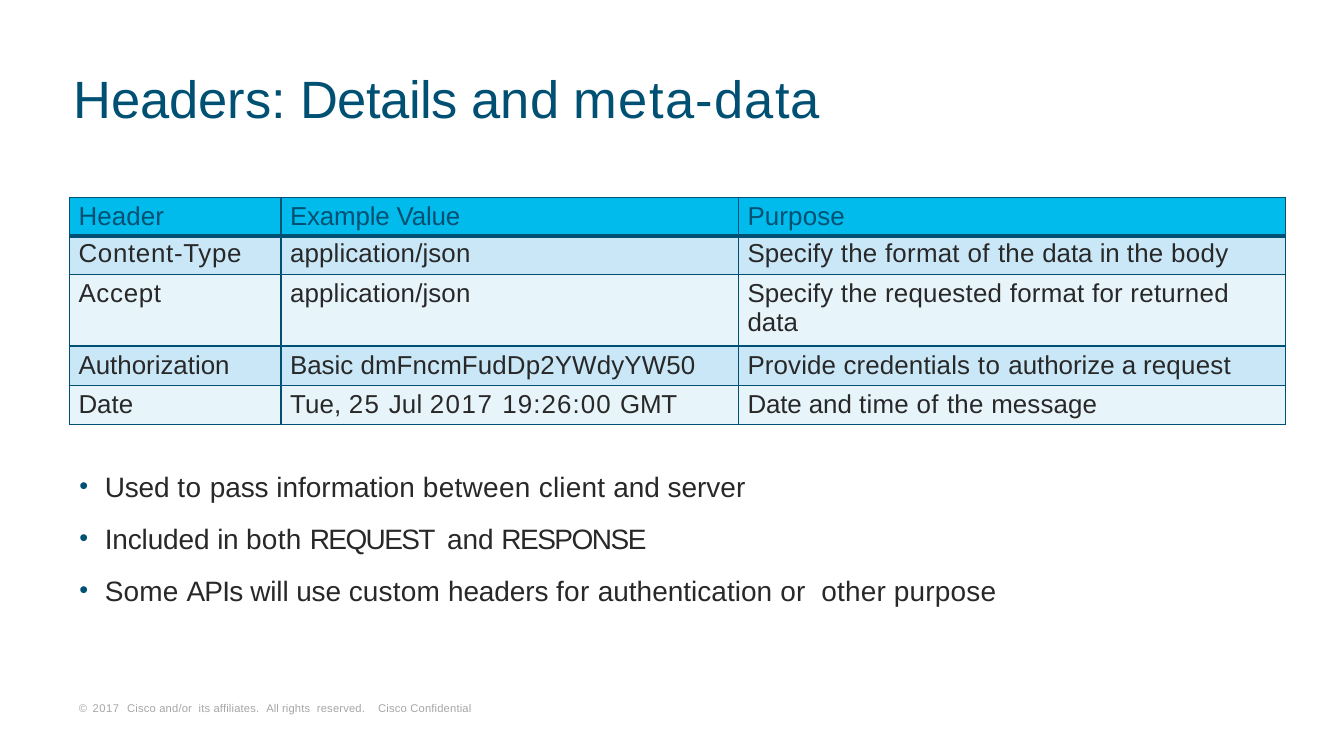
"""Build a slide on message headers: title, table of examples, bullet list and footer."""
import lxml.etree
import pptx
import pptx.dml.color
import pptx.enum.text
import pptx.oxml.ns
import pptx.util
from pptx.util import Cm

NAVY, CYAN, INK, GREY = "005073", "00BBEB", "282828", "A6A6A6"
DARK_BAND, LIGHT_BAND = "CAE7F7", "E7F4FA"


def colour(value):
    return pptx.dml.color.RGBColor.from_string(value)


def write(para, text, size=18.5, color=INK, spacing=0.0):
    span = para.add_run()
    span.text = text
    span.font.name = "Arial"
    span.font.size = pptx.util.Pt(size)
    span.font.bold = False
    span.font.color.rgb = colour(color)
    span._r.get_or_add_rPr().set("spc", str(round(spacing * 100)))


deck = pptx.Presentation()
deck.slide_width, deck.slide_height = Cm(33.87), Cm(19.05)
page = deck.slides.add_slide(deck.slide_layouts[1])
title, body = page.placeholders
footer = page.shapes.add_textbox(0, 0, Cm(1), Cm(1))

for box, left, top, width, height, inset in [
    (title, 1.83, 1.63, 19, 1.65, 0.03),
    (body, 1.98, 11.33, 23.27, 3.99, 0.5),
    (footer, 1.96, 17.65, 10.11, 0.46, 0.03),
]:
    box.left, box.top, box.width, box.height = Cm(left), Cm(top), Cm(width), Cm(height)
    frame = box.text_frame
    frame.word_wrap = True
    frame.auto_size = pptx.enum.text.MSO_AUTO_SIZE.SHAPE_TO_FIT_TEXT
    frame.vertical_anchor = pptx.enum.text.MSO_ANCHOR.TOP
    frame.margin_left = Cm(0.03 if box is not body else 0)
    frame.margin_right = frame.margin_bottom = 0
    frame.margin_top = Cm(inset)
    frame.paragraphs[0].alignment = pptx.enum.text.PP_ALIGN.LEFT
    frame.paragraphs[0].space_before = 0

for text, spacing in [("Headers: ", -0.1), ("Details ", -0.4), ("and ", -0.1), ("meta-data", 0.9)]:
    write(title.text_frame.paragraphs[0], text, size=37.5, color=NAVY, spacing=spacing)

for text, spacing in [
    ("© ", 0.8), ("2017  ", 0.4), ("Cisco and/or  its affiliates.  ", 0.1),
    ("All ", 0), ("rights  reserved.    Cisco Confidential", 0.1),
]:
    write(footer.text_frame.paragraphs[0], text, size=8, color=GREY, spacing=spacing)

bullets = [
    [("Used ", -0.1), ("to ", 0.3), ("pass ", -0.1), ("information ", 0), ("between ", 0.2),
     ("client ", 0.1), ("and ", -0.1), ("server", 0)],
    [("Included ", -0.1), ("in ", -0.3), ("both ", 0.2), ("REQUEST  ", -1.2),
     ("and ", -0.1), ("RESPONSE", -1.1)],
    [("Some ", 0.1), ("APIs ", -0.6), ("will use ", -0.1), ("custom ", 0.1), ("headers ", -0.1),
     ("for ", 0.2), ("authentication ", 0), ("or  other purpose", 0.1)],
]
for index, spans in enumerate(bullets):
    para = body.text_frame.add_paragraph() if index else body.text_frame.paragraphs[0]
    para.space_before = pptx.util.Pt(13 if index else 0)
    properties = para._p.get_or_add_pPr()
    properties.set("marL", str(Cm(0.66)))
    properties.set("indent", str(Cm(-0.64)))
    marker = lxml.etree.SubElement(properties, pptx.oxml.ns.qn("a:buClr"))
    lxml.etree.SubElement(marker, pptx.oxml.ns.qn("a:srgbClr"), val=NAVY)
    lxml.etree.SubElement(properties, pptx.oxml.ns.qn("a:buSzPct"), val="90000")
    lxml.etree.SubElement(properties, pptx.oxml.ns.qn("a:buFont"), typeface="Arial")
    lxml.etree.SubElement(properties, pptx.oxml.ns.qn("a:buChar"), char="•")
    for text, spacing in spans:
        write(para, text, size=20, spacing=spacing)

# Each cell is a list of paragraphs, each paragraph a list of (text, letter spacing)
rows = [
    [[[("Header", 0.1)]], [[("Example Value", -0.1)]], [[("Purpose", 0.1)]]],
    [[[("Content-Type", 0.5)]], [[("application/json", 0.1)]],
     [[("Specify ", 0.1), ("the format ", 0.2), ("of ", 0.4), ("the ", 0.2), ("data ", 0),
       ("in ", -0.1), ("the ", 0.2), ("body", 0.3)]]],
    [[[("Accept", 0.5)]], [[("application/json", 0.1)]],
     [[("Specify ", 0.1), ("the requested format for returned", 0.2)], [("data", 0)]]],
    [[[("Authorization", 0)]], [[("Basic ", 0), ("dmFncmFudDp2YWdyYW50", 0.1)]],
     [[("Provide credentials ", 0.1), ("to ", 0.4), ("authorize ", 0), ("a ", -0.4),
       ("request", 0.2)]]],
    [[[("Date", 0)]],
     [[("Tue, ", 0.1), ("25 ", 1), ("Jul ", 0.1), ("2017 ", 1.1), ("19:26:00 ", 0.8),
       ("GMT", -0.2)]],
     [[("Date ", -0.1), ("and ", 0), ("time ", 0.2), ("of ", 0.4), ("the ", 0.2),
       ("message", 0.1)]]],
]
widths, heights = [5.33, 11.53, 13.79], [0.97, 0.97, 1.8, 0.99, 0.99]
table = page.shapes.add_table(
    len(rows), len(widths), Cm(1.75), Cm(4.98), Cm(sum(widths)), Cm(sum(heights))
).table
table.first_row = table.horz_banding = False
for column, width in zip(table.columns, widths):
    column.width = Cm(width)

for row_index, (row, height) in enumerate(zip(rows, heights)):
    table.rows[row_index].height = Cm(height)
    fill = CYAN if row_index == 0 else DARK_BAND if row_index % 2 else LIGHT_BAND
    heavy_side = {0: "lnB", 1: "lnT"}.get(row_index)
    for column_index, paragraphs in enumerate(row):
        cell = table.cell(row_index, column_index)
        cell.margin_left = Cm(0.23)
        cell.margin_right = cell.margin_bottom = 0
        cell.margin_top = Cm(0.08 if row_index == 1 else 0.12)
        for side in ["lnL", "lnR", "lnT", "lnB"]:
            weight = pptx.util.Pt(3 if side == heavy_side else 1)
            border = lxml.etree.SubElement(
                cell._tc.get_or_add_tcPr(), pptx.oxml.ns.qn(f"a:{side}"), w=str(weight))
            solid = lxml.etree.SubElement(border, pptx.oxml.ns.qn("a:solidFill"))
            lxml.etree.SubElement(solid, pptx.oxml.ns.qn("a:srgbClr"), val=NAVY)
        cell.fill.solid()
        cell.fill.fore_color.rgb = colour(fill)
        for index, spans in enumerate(paragraphs):
            para = cell.text_frame.add_paragraph() if index else cell.text_frame.paragraphs[0]
            for text, spacing in spans:
                write(para, text, color=INK if row_index else NAVY, spacing=spacing)

deck.save("out.pptx")
